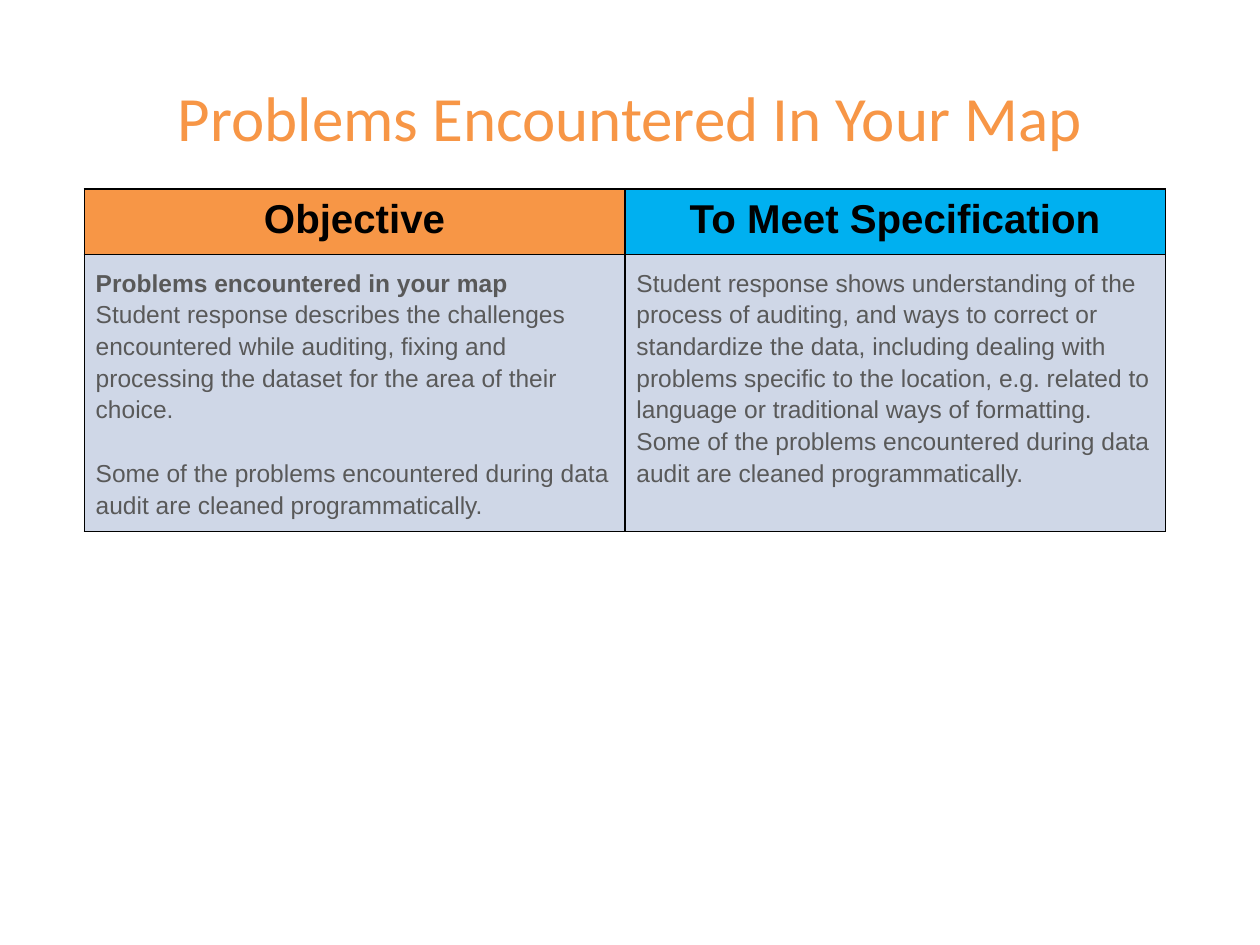
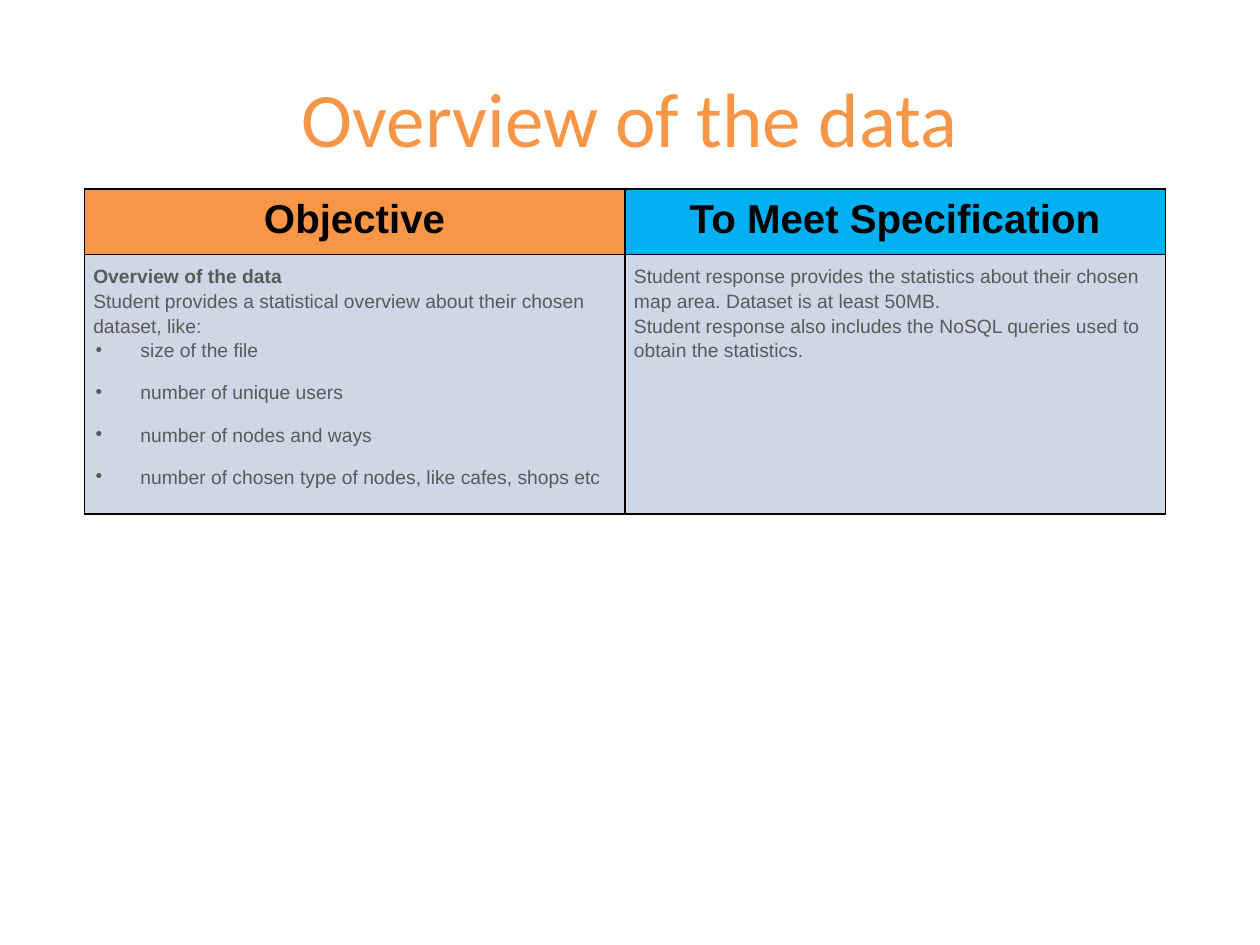
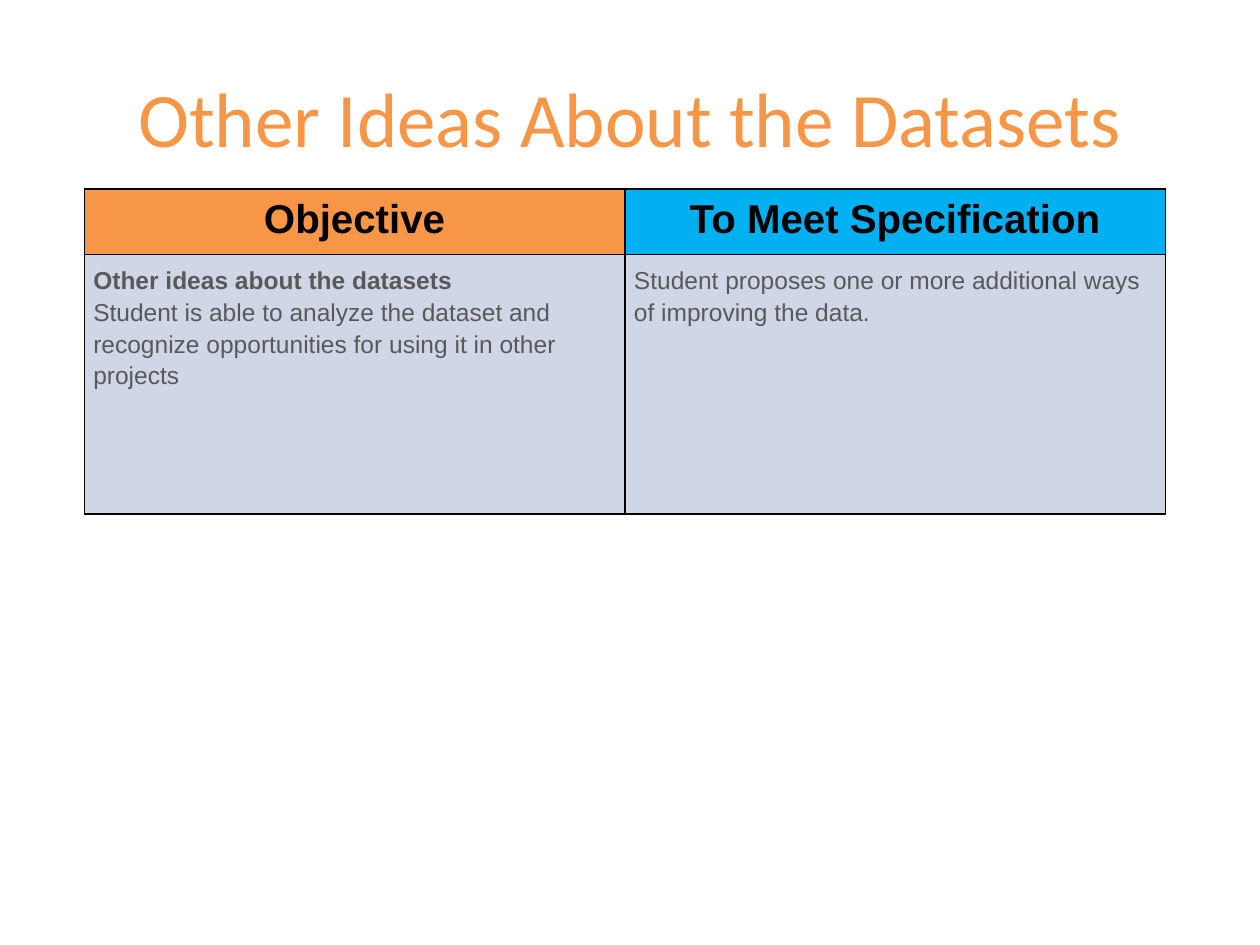
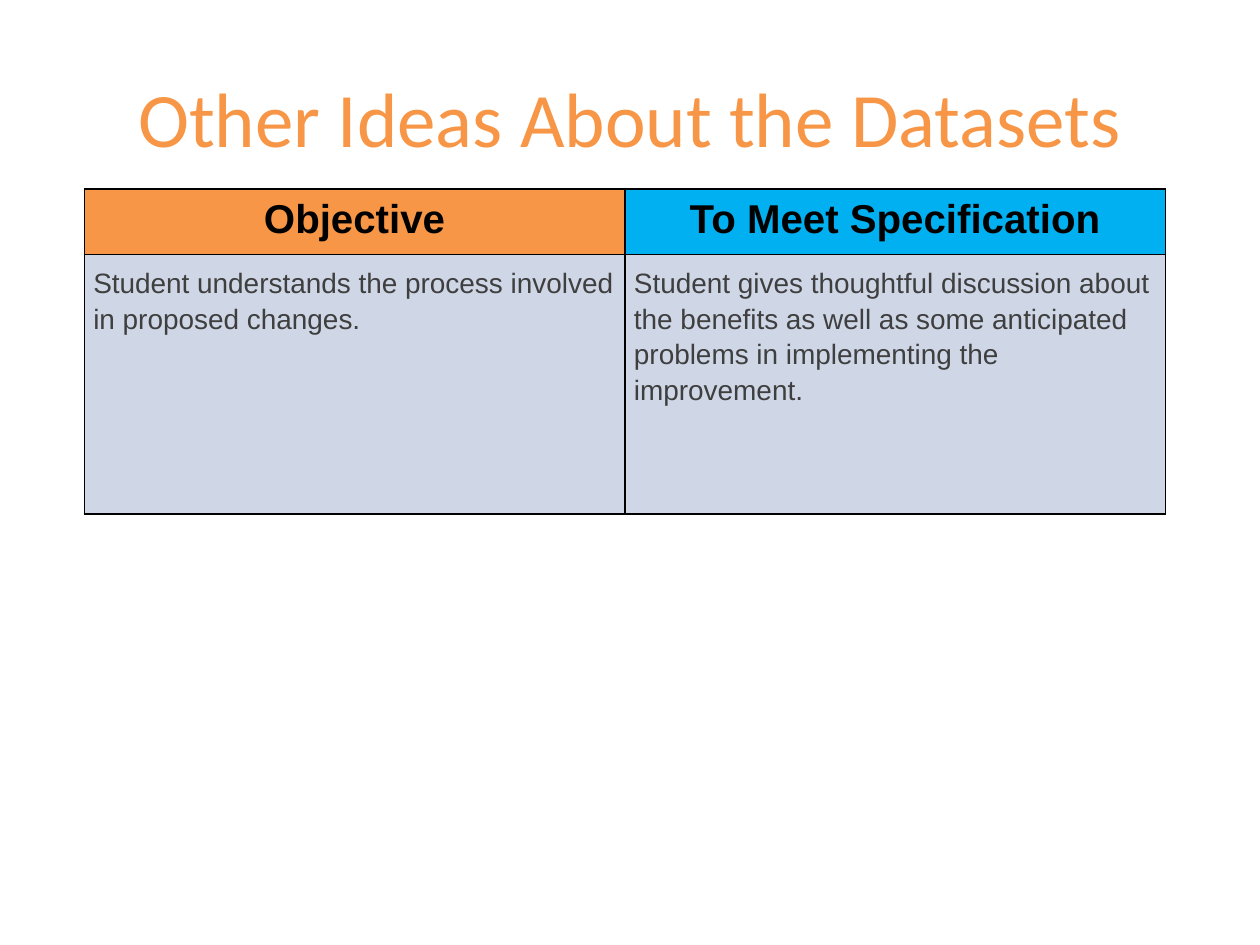
"""Build four slides that pair each project objective with its specification."""
from dataclasses import dataclass

from lxml.etree import SubElement
from pptx import Presentation
from pptx.dml.color import RGBColor
from pptx.enum.text import MSO_ANCHOR, MSO_AUTO_SIZE, PP_ALIGN
from pptx.oxml.ns import qn
from pptx.util import Cm, Pt


@dataclass(frozen=True)
class Theme:
    orange: str = "F79646"
    blue: str = "00B0F0"
    pale_blue: str = "CFD7E7"
    black: str = "000000"
    gray: str = "595959"
    dark_gray: str = "3F3F3F"
    title_font: str = "Calibri"
    table_font: str = "Arial"
    title_size: int = 44
    long_title_size: int = 36
    header_size: int = 23
    large_size: int = 16
    body_size: int = 14
    small_size: int = 11
    line_spacing: float = 1.15


@dataclass(frozen=True)
class Line:
    text: str
    bold: bool = False
    bullet: bool = False
    space_before: float = 0


class Deck:
    def __init__(self, theme):
        self.theme = theme
        self.presentation = Presentation()
        self.presentation.slide_width = Cm(25.4)
        self.presentation.slide_height = Cm(19.05)
        self.slide = None

    def add_slide(self, title, size):
        layout = self.presentation.slide_layouts.get_by_name("Title Only")
        self.slide = self.presentation.slides.add_slide(layout)
        shape = self.slide.shapes.title
        shape.left, shape.top = Cm(1.27), Cm(0.76)
        shape.width, shape.height = Cm(22.86), Cm(3.18)
        text_frame = shape.text_frame
        text_frame.text = title
        text_frame.word_wrap = True
        text_frame.auto_size = MSO_AUTO_SIZE.NONE
        text_frame.vertical_anchor = MSO_ANCHOR.MIDDLE
        paragraph = text_frame.paragraphs[0]
        paragraph.alignment = PP_ALIGN.CENTER
        self.format_runs(paragraph, self.theme.title_font, size, self.theme.orange)

    def format_runs(self, paragraph, font_name, size, color, bold=False):
        for run in paragraph.runs:
            run.font.name = font_name
            run.font.size = Pt(size)
            run.font.bold = bold
            run.font.color.rgb = RGBColor.from_string(color)

    def add_rubric(self, objective, specification, size, color=None, inset=0.18):
        theme = self.theme
        column_width, row_heights = Cm(10.9), (Cm(1.32), Cm(5.23))
        frame = self.slide.shapes.add_table(
            2, 2, Cm(1.7), Cm(3.81), 2 * column_width, sum(row_heights))
        table = frame.table
        table.first_row = table.horz_banding = False
        for row, height in zip(table.rows, row_heights):
            row.height = height
        headers = (("Objective", theme.orange), ("To Meet Specification", theme.blue))
        for index, (header, fill) in enumerate(headers):
            table.columns[index].width = column_width
            self.fill_header(table.cell(0, index), header, fill)
            lines = (objective, specification)[index]
            self.fill_body(table.cell(1, index), lines, size, color or theme.gray, inset)

    def style_cell(self, cell, fill, horizontal_inset, vertical_inset):
        cell.margin_left = cell.margin_right = Cm(horizontal_inset)
        cell.margin_top = cell.margin_bottom = Cm(vertical_inset)
        cell.vertical_anchor = MSO_ANCHOR.TOP
        properties = cell._tc.get_or_add_tcPr()
        for side in ("a:lnL", "a:lnR", "a:lnT", "a:lnB"):
            border = SubElement(properties, qn(side), w=str(Pt(1)))
            solid = SubElement(border, qn("a:solidFill"))
            SubElement(solid, qn("a:srgbClr"), val=self.theme.black)
        cell.fill.solid()
        cell.fill.fore_color.rgb = RGBColor.from_string(fill)

    def fill_header(self, cell, text, fill):
        self.style_cell(cell, fill, 0.33, 0.15)
        cell.text_frame.text = text
        paragraph = cell.text_frame.paragraphs[0]
        paragraph.alignment = PP_ALIGN.CENTER
        self.format_runs(paragraph, self.theme.table_font, self.theme.header_size,
                         self.theme.black, bold=True)

    def fill_body(self, cell, lines, size, color, inset):
        self.style_cell(cell, self.theme.pale_blue, inset, inset)
        cell.text_frame.text = "\n".join(line.text for line in lines)
        for paragraph, line in zip(cell.text_frame.paragraphs, lines):
            paragraph.alignment = PP_ALIGN.LEFT
            paragraph.line_spacing = self.theme.line_spacing
            paragraph.space_before = Pt(line.space_before)
            self.format_runs(paragraph, self.theme.table_font, size, color, line.bold)
            if line.bullet:
                self.add_bullet(paragraph, color)

    def add_bullet(self, paragraph, color):
        properties = paragraph._p.get_or_add_pPr()
        properties.set("marL", str(Cm(0.95)))
        properties.set("indent", str(-Cm(0.95)))
        bullet_color = SubElement(properties, qn("a:buClr"))
        SubElement(bullet_color, qn("a:srgbClr"), val=color)
        SubElement(properties, qn("a:buSzPct"), val="91000")
        SubElement(properties, qn("a:buChar"), char="∙")


def main():
    theme = Theme()
    deck = Deck(theme)
    cleaned = ("Some of the problems encountered during data audit "
               "are cleaned programmatically.")

    deck.add_slide("Problems Encountered In Your Map", theme.long_title_size)
    deck.add_rubric(
        [Line("Problems encountered in your map", bold=True),
         Line("Student response describes the challenges encountered while auditing, "
              "fixing and processing the dataset for the area of their choice."),
         Line(cleaned, space_before=18.5)],
        [Line("Student response shows understanding of the process of auditing, and ways "
              "to correct or standardize the data, including dealing with problems "
              "specific to the location, e.g. related to language or traditional ways "
              "of formatting."),
         Line(cleaned)],
        theme.body_size, inset=0.23)

    deck.add_slide("Overview of the data", theme.title_size)
    deck.add_rubric(
        [Line("Overview of the data", bold=True),
         Line("Student provides a statistical overview about their chosen dataset, like:"),
         Line("size of the file", bullet=True),
         *(Line(statistic, bullet=True, space_before=10) for statistic in (
             "number of unique users",
             "number of nodes and ways",
             "number of chosen type of nodes, like cafes, shops etc"))],
        [Line("Student response provides the statistics about their chosen map area. "
              "Dataset is at least 50MB."),
         Line("Student response also includes the NoSQL queries used to obtain "
              "the statistics.")],
        theme.small_size)

    ideas_title = "Other Ideas About the Datasets"
    deck.add_slide(ideas_title, theme.title_size)
    deck.add_rubric(
        [Line("Other ideas about the datasets", bold=True),
         Line("Student is able to analyze the dataset and recognize opportunities "
              "for using it in other projects")],
        [Line("Student proposes one or more additional ways of improving the data.")],
        theme.body_size)

    deck.add_slide(ideas_title, theme.title_size)
    deck.add_rubric(
        [Line("Student understands the process involved in proposed changes.")],
        [Line("Student gives thoughtful discussion about the benefits as well as some "
              "anticipated problems in implementing the improvement.")],
        theme.large_size, theme.dark_gray)

    deck.presentation.save("out.pptx")


if __name__ == "__main__":
    main()
